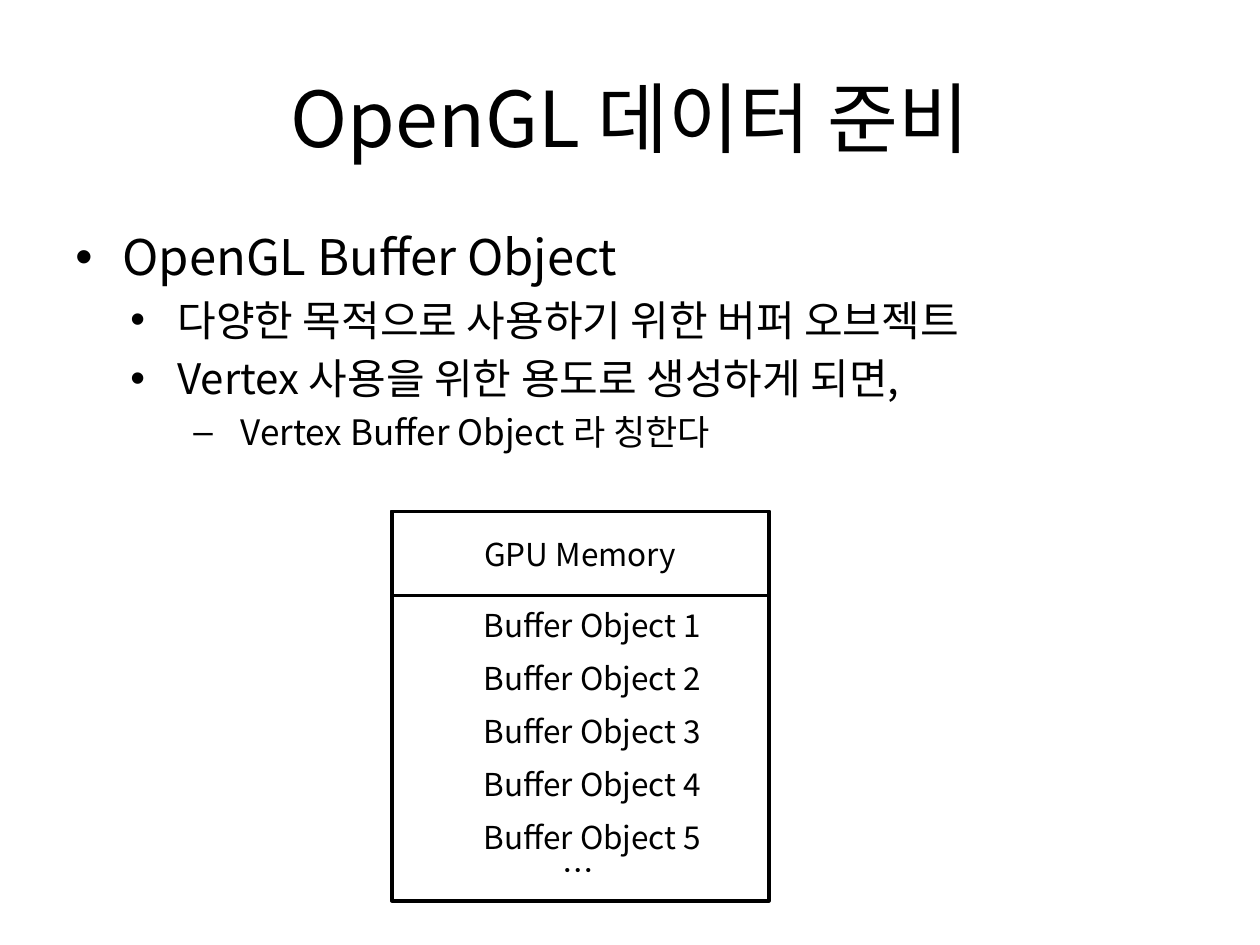
from lxml import etree
from pptx import Presentation, util as u
from pptx.dml.color import RGBColor
from pptx.enum import shapes, text
from pptx.oxml.ns import qn

THEME = {
    "font": "Noto Sans CJK KR",
    "ink": RGBColor(0, 0, 0),
    "paper": RGBColor(255, 255, 255),
    "title": 44,
    "levels": [28, 24, 20],
    "label": 18,
    "line": 2,
}


def style(paragraph, size):
    """Give every run of a paragraph the theme font, colour and a size."""
    for run in paragraph.runs:
        run.font.size = u.Pt(size)
        run.font.name = THEME["font"]
        run.font.color.rgb = THEME["ink"]
        east_asian = etree.SubElement(run.font._element, qn("a:ea"))
        east_asian.set("typeface", THEME["font"])


def add_text(slide, box, content, size, wrap=False):
    """Add a text box at box (cm) and return its text frame."""
    frame = slide.shapes.add_textbox(*map(u.Cm, box)).text_frame
    frame.word_wrap = wrap
    frame.text = content
    for paragraph in frame.paragraphs:
        style(paragraph, size)
    return frame


presentation = Presentation()
presentation.slide_width, presentation.slide_height = u.Cm(25.4), u.Cm(19.05)
slide = presentation.slides.add_slide(presentation.slide_layouts[6])

# Title
title = add_text(slide, (1.27, 0.76, 22.86, 3.18), "OpenGL 데이터 준비", THEME["title"], wrap=True)
title.vertical_anchor = text.MSO_ANCHOR.MIDDLE
title.paragraphs[0].alignment = text.PP_ALIGN.CENTER

# Bulleted body: level and text
bullets = [
    (0, "OpenGL Buffer Object"),
    (1, "다양한 목적으로 사용하기 위한 버퍼 오브젝트"),
    (1, "Vertex 사용을 위한 용도로 생성하게 되면,"),
    (2, "Vertex Buffer Object 라 칭한다"),
]
indents = [0.95, 2.06, 3.33]
marks = "••–"
body = slide.shapes.add_textbox(u.Cm(1.27), u.Cm(4.45), u.Cm(22.86), u.Cm(12.57)).text_frame
body.word_wrap = True
body.text = "\n".join(content for level, content in bullets)
for paragraph, (level, content) in zip(body.paragraphs, bullets):
    paragraph.level = level
    style(paragraph, THEME["levels"][level])
    properties = paragraph._p.get_or_add_pPr()
    properties.set("marL", str(u.Cm(indents[level])))
    properties.set("indent", str(-u.Cm(0.95)))
    space_before = etree.SubElement(properties, qn("a:spcBef"))
    etree.SubElement(space_before, qn("a:spcPct")).set("val", "20000")
    etree.SubElement(properties, qn("a:buFont")).set("typeface", "Arial")
    etree.SubElement(properties, qn("a:buChar")).set("char", marks[level])

# GPU memory: frame and header
memory = slide.shapes.add_group_shape()
for height, label in [(7.85, ""), (1.7, "GPU Memory")]:
    shape = memory.shapes.add_shape(
        shapes.MSO_SHAPE.FLOWCHART_PROCESS, u.Cm(7.9), u.Cm(10.31), u.Cm(7.6), u.Cm(height))
    shape.shadow.inherit = False
    shape.fill.solid()
    shape.fill.fore_color.rgb = THEME["paper"]
    shape.line.color.rgb = THEME["ink"]
    shape.line.width = u.Pt(THEME["line"])
    if label:
        shape.text_frame.text = label
        shape.text_frame.vertical_anchor = text.MSO_ANCHOR.MIDDLE
        shape.text_frame.paragraphs[0].alignment = text.PP_ALIGN.CENTER
        style(shape.text_frame.paragraphs[0], THEME["label"])

# Buffer objects at equal steps
for index in range(5):
    add_text(slide, (9.5, 12.09 + 1.07 * index, 4.95, 1.02),
             f"Buffer Object {index + 1}", THEME["label"])
add_text(slide, (11.1, 17.04, 0.99, 1.02), "…", THEME["label"])

presentation.save("out.pptx")
